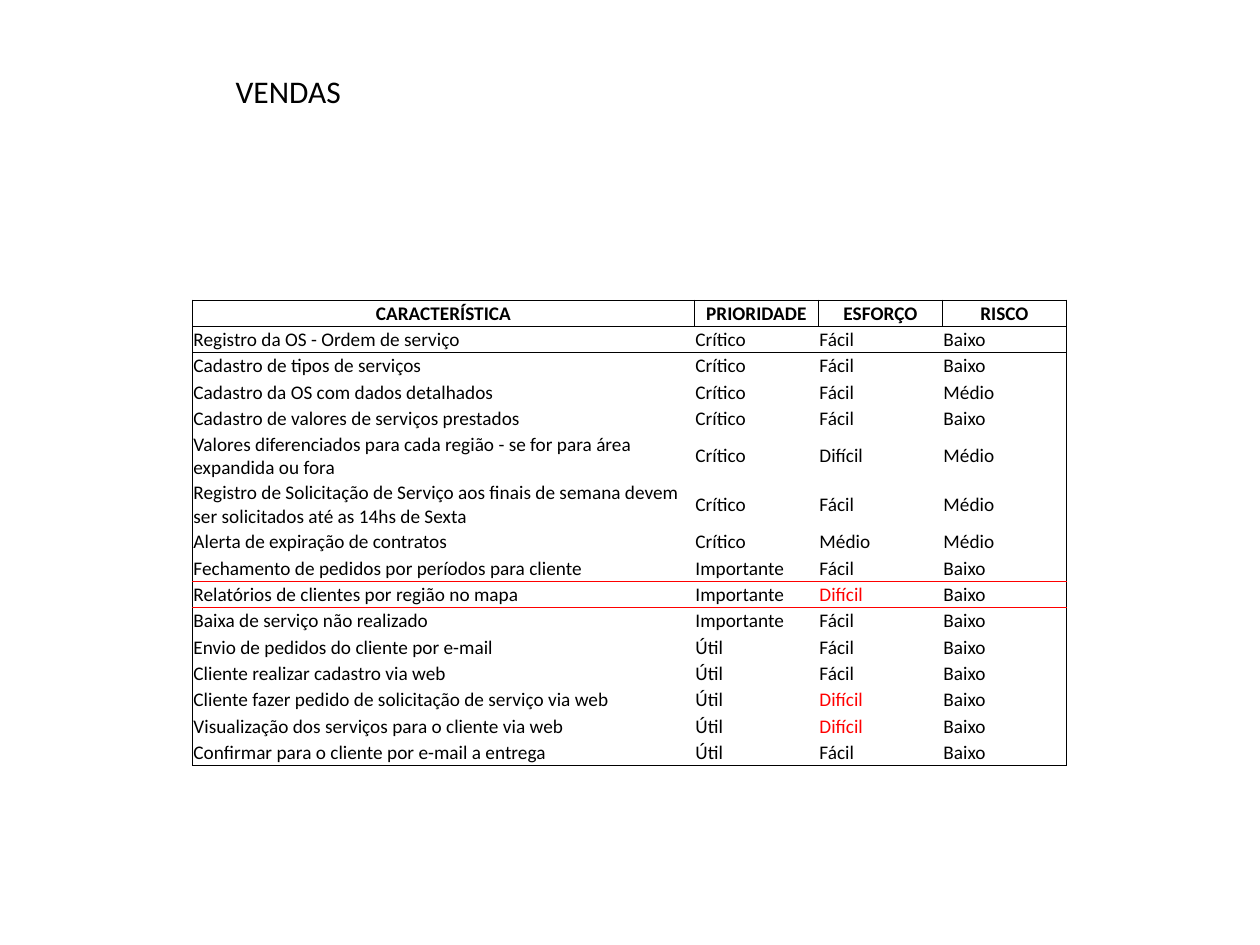
from dataclasses import dataclass
from typing import NamedTuple

from lxml.etree import SubElement
from pptx import Presentation
from pptx.dml.color import RGBColor
from pptx.enum.text import MSO_ANCHOR, MSO_AUTO_SIZE, PP_ALIGN
from pptx.oxml.ns import qn
from pptx.util import Cm, Pt


@dataclass(frozen=True)
class Theme:
    """Colours, font and sizes of the slide."""
    font: str = "Calibri"
    ink: str = "000000"
    alert: str = "FF0000"
    title_size: float = 18
    table_size: float = 11
    thin: float = 0.5
    thick: float = 1
    plain_table: str = "{2D5ABB26-0587-4C30-8999-92F81FD0307C}"


class Feature(NamedTuple):
    """One requested feature and its ratings."""
    name: str
    priority: str
    effort: str
    risk: str


class Border(NamedTuple):
    """A cell edge; side is L, R, T or B."""
    side: str
    color: str
    width: float


THEME = Theme()
HEADER = Feature("CARACTERÍSTICA", "PRIORIDADE", "ESFORÇO", "RISCO")
IN_SCOPE = [
    Feature("Registro da OS - Ordem de serviço", "Crítico", "Fácil", "Baixo"),
    Feature("Cadastro de tipos de serviços", "Crítico", "Fácil", "Baixo"),
    Feature("Cadastro da OS com dados detalhados", "Crítico", "Fácil", "Médio"),
    Feature("Cadastro de valores de serviços prestados", "Crítico", "Fácil", "Baixo"),
    Feature("Valores diferenciados para cada região - se for para área expandida ou fora",
            "Crítico", "Difícil", "Médio"),
    Feature("Registro de Solicitação de Serviço aos finais de semana devem ser "
            "solicitados até as 14hs de Sexta", "Crítico", "Fácil", "Médio"),
    Feature("Alerta de expiração de contratos", "Crítico", "Médio", "Médio"),
    Feature("Fechamento de pedidos por períodos para cliente", "Importante", "Fácil", "Baixo"),
]
POSTPONED = [
    Feature("Relatórios de clientes por região no mapa", "Importante", "Difícil", "Baixo"),
    Feature("Baixa de serviço não realizado", "Importante", "Fácil", "Baixo"),
    Feature("Envio de pedidos do cliente por e-mail", "Útil", "Fácil", "Baixo"),
    Feature("Cliente realizar cadastro via web", "Útil", "Fácil", "Baixo"),
    Feature("Cliente fazer pedido de solicitação de serviço via web", "Útil", "Difícil", "Baixo"),
    Feature("Visualização dos serviços para o cliente via web", "Útil", "Difícil", "Baixo"),
    Feature("Confirmar para o cliente por e-mail a entrega", "Útil", "Fácil", "Baixo"),
]
ROWS = [HEADER, *IN_SCOPE, *POSTPONED]
COLUMN_WIDTHS = [Cm(10.12), Cm(2.5), Cm(2.5), Cm(2.5)]
ROW_HEIGHT = Cm(0.53)
CUT_ROW = len(IN_SCOPE)


def add_span(para, text: str, size: float, color: str, bold: bool = False) -> None:
    """Add one formatted run to a paragraph."""
    span = para.add_run()
    span.text = text
    span.font.name = THEME.font
    span.font.size = Pt(size)
    span.font.bold = bold
    span.font.color.rgb = RGBColor.from_string(color)


def borders_for(row: int, column: int) -> list[Border]:
    """Return the edges of a cell: header grid, outer frame and red cut line."""
    is_header = row == 0
    edges = []
    if is_header or column == 0:
        edges.append(Border("L", THEME.ink, THEME.thin))
    if is_header or column == len(COLUMN_WIDTHS) - 1:
        edges.append(Border("R", THEME.ink, THEME.thin))
    if row <= 1:
        edges.append(Border("T", THEME.ink, THEME.thin))
    elif row == CUT_ROW + 1:
        edges.append(Border("T", THEME.alert, THEME.thick))
    if row == CUT_ROW:
        edges.append(Border("B", THEME.alert, THEME.thick))
    elif is_header or row == len(ROWS) - 1:
        edges.append(Border("B", THEME.ink, THEME.thin))
    return edges


def draw_border(cell, border: Border) -> None:
    """Draw one edge of a cell."""
    properties = cell._tc.get_or_add_tcPr()
    line = SubElement(properties, qn(f"a:ln{border.side}"), w=str(Pt(border.width)))
    fill = SubElement(line, qn("a:solidFill"))
    SubElement(fill, qn("a:srgbClr"), val=border.color)


def fill_cell(cell, text: str, row: int, column: int) -> None:
    """Write and format one table cell."""
    for border in borders_for(row, column):
        draw_border(cell, border)
    cell.fill.background()
    cell.vertical_anchor = MSO_ANCHOR.MIDDLE
    cell.margin_left = cell.margin_right = cell.margin_top = Cm(0.02)
    cell.margin_bottom = 0
    para = cell.text_frame.paragraphs[0]
    para.alignment = PP_ALIGN.CENTER if row == 0 else PP_ALIGN.LEFT
    is_alert = row > CUT_ROW and text == "Difícil"
    color = THEME.alert if is_alert else THEME.ink
    add_span(para, text, THEME.table_size, color, bold=row == 0)


def add_title(page, text: str) -> None:
    """Add the heading of the page."""
    box = page.shapes.add_textbox(Cm(4.5), Cm(1.32), Cm(2.64), Cm(1.02))
    frame = box.text_frame
    frame.word_wrap = False
    frame.auto_size = MSO_AUTO_SIZE.SHAPE_TO_FIT_TEXT
    add_span(frame.paragraphs[0], text, THEME.title_size, THEME.ink)


def add_feature_table(page) -> None:
    """Add the table of features."""
    frame = page.shapes.add_table(len(ROWS), len(COLUMN_WIDTHS), Cm(3.88), Cm(6.05),
                                  sum(COLUMN_WIDTHS), ROW_HEIGHT * len(ROWS))
    table = frame.table
    table.first_row = table.horz_banding = False
    table._tbl.tblPr.find(qn("a:tableStyleId")).text = THEME.plain_table
    for column, width in zip(table.columns, COLUMN_WIDTHS):
        column.width = width
    for row, feature in enumerate(ROWS):
        table.rows[row].height = ROW_HEIGHT
        for column, text in enumerate(feature):
            fill_cell(table.cell(row, column), text, row, column)


def main() -> None:
    """Build and save the deck."""
    deck = Presentation()
    deck.slide_width, deck.slide_height = Cm(25.4), Cm(19.05)
    page = deck.slides.add_slide(deck.slide_layouts[6])
    add_feature_table(page)
    add_title(page, "VENDAS")
    deck.save("out.pptx")


main()
